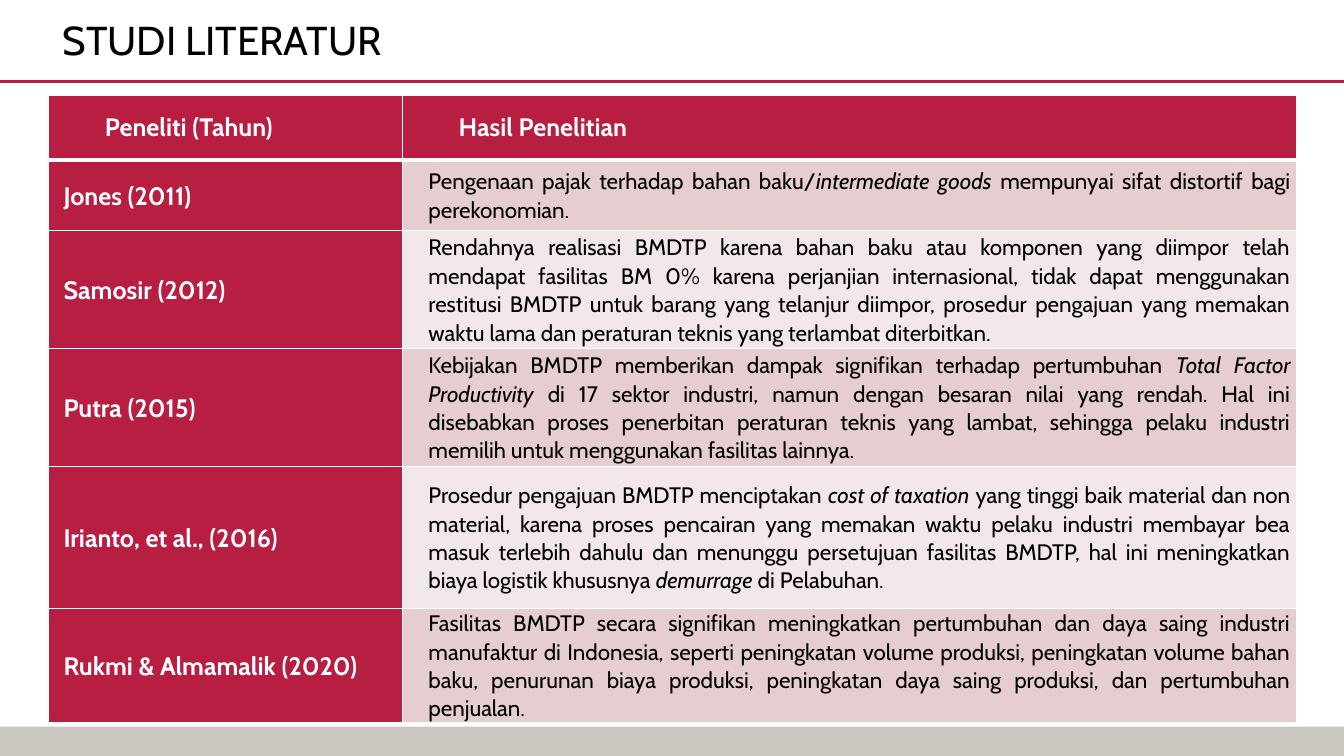
from lxml import etree
from pptx import Presentation
from pptx import util as u
from pptx.dml.color import RGBColor
from pptx.enum import shapes, text
from pptx.oxml import ns

COLORS = {
    "crimson": "B71E42",
    "white": "FFFFFF",
    "black": "000000",
    "rose": "E6CDCF",
    "blush": "F3E8E9",
    "stone": "CAC7C1",
}
FONT = "Cabin"
LABEL = {"size": u.Pt(18), "bold": True, "name": FONT}
BODY = {"size": u.Pt(16), "bold": False, "name": FONT}
CELL = {
    "margin_left": u.Inches(0.06),
    "margin_right": u.Inches(0.06),
    "margin_top": 0,
    "margin_bottom": 0,
    "vertical_anchor": text.MSO_ANCHOR.MIDDLE,
}
COLUMN_WIDTHS = [3.51, 8.87]
ROW_HEIGHTS = [0.64, 0.7, 1.17, 1.17, 1.41, 1.05]
HEADER = ("Peneliti (Tahun)", "Hasil Penelitian")
STUDIES = [
    ("Jones (2011)",
     "Pengenaan pajak terhadap bahan baku/*intermediate goods *mempunyai sifat "
     "distortif bagi perekonomian."),
    ("Samosir (2012)",
     "Rendahnya realisasi BMDTP karena bahan baku atau komponen yang diimpor telah "
     "mendapat fasilitas BM 0% karena perjanjian internasional, tidak dapat menggunakan "
     "restitusi BMDTP untuk barang yang telanjur diimpor, prosedur pengajuan yang "
     "memakan waktu lama dan peraturan teknis yang terlambat diterbitkan."),
    ("Putra (2015)",
     "Kebijakan BMDTP memberikan dampak signifikan terhadap pertumbuhan *Total Factor "
     "Productivity *di 17 sektor industri, namun dengan besaran nilai yang rendah. Hal "
     "ini disebabkan proses penerbitan peraturan teknis yang lambat, sehingga pelaku "
     "industri memilih untuk menggunakan fasilitas lainnya."),
    ("Irianto, et al., (2016)",
     "Prosedur pengajuan BMDTP menciptakan *cost of taxation *yang tinggi baik material "
     "dan non material, karena proses pencairan yang memakan waktu pelaku industri "
     "membayar bea masuk terlebih dahulu dan menunggu persetujuan fasilitas BMDTP, hal "
     "ini meningkatkan biaya logistik khususnya *demurrage* di Pelabuhan."),
    ("Rukmi & Almamalik (2020)",
     "Fasilitas BMDTP secara signifikan meningkatkan pertumbuhan dan daya saing industri "
     "manufaktur di Indonesia, seperti peningkatan volume produksi, peningkatan volume "
     "bahan baku, penurunan biaya produksi, peningkatan daya saing produksi, dan "
     "pertumbuhan penjualan."),
]


def rgb(name):
    return RGBColor.from_string(COLORS[name])


def apply(target, values):
    for name, value in values.items():
        setattr(target, name, value)


def paint(fill, color):
    fill.solid()
    fill.fore_color.rgb = rgb(color)


def write(paragraph, marked_text, font, color):
    for index, part in enumerate(marked_text.split("*")):
        run = paragraph.add_run()
        run.text = part
        apply(run.font, {**font, "italic": index % 2 == 1})
        run.font.color.rgb = rgb(color)


def set_borders(cell, widths):
    properties = cell._tc.get_or_add_tcPr()
    for index, (side, width) in enumerate(zip("LRTB", widths)):
        line = etree.Element(ns.qn(f"a:ln{side}"), w=str(u.Pt(width)))
        fill = etree.SubElement(line, ns.qn("a:solidFill"))
        etree.SubElement(fill, ns.qn("a:srgbClr"), val=COLORS["white"])
        properties.insert(index, line)


def add_frame(slide, left, top, width, height):
    paint(slide.background.fill, "stone")
    panel = slide.shapes.add_shape(
        shapes.MSO_SHAPE.RECTANGLE, left, top, width, height)
    panel.shadow.inherit = False
    paint(panel.fill, "white")
    panel.line.fill.background()
    rule_top = top + u.Inches(0.81)
    rule = slide.shapes.add_connector(
        shapes.MSO_CONNECTOR.STRAIGHT, left, rule_top, left + width, rule_top)
    rule.line.color.rgb = rgb("crimson")
    rule.line.width = u.Pt(2.5)
    etree.SubElement(rule._element.spPr, ns.qn("a:effectLst"))


def add_title(slide, left, top, width, height):
    title = slide.shapes.title
    apply(title, {"left": left, "top": top, "width": width, "height": height})
    apply(title.text_frame, {
        "vertical_anchor": text.MSO_ANCHOR.MIDDLE,
        "auto_size": text.MSO_AUTO_SIZE.NONE,
        "word_wrap": True,
    })
    paragraph = title.text_frame.paragraphs[0]
    apply(paragraph, {"alignment": text.PP_ALIGN.LEFT, "line_spacing": 0.9})
    write(paragraph, "STUDI LITERATUR", {"size": u.Pt(28.8), "name": FONT}, "black")
    slide.shapes._spTree.append(title._element)


def fill_cell(cell, content, row, column):
    is_header = row == 0
    is_label = is_header or column == 0
    apply(cell, CELL)
    paint(cell.fill, "crimson" if is_label else "rose" if row % 2 else "blush")
    set_borders(cell, (1, 1, 3 if row == 1 else 1, 3 if is_header else 1))
    paragraph = cell.text_frame.paragraphs[0]
    apply(paragraph, {
        "alignment": text.PP_ALIGN.JUSTIFY,
        "line_spacing": 1.0 if is_header else 1.05,
    })
    indent = 0.5 if is_header else 0.09 if is_label else 0.2
    paragraph._p.get_or_add_pPr().set("marL", str(u.Inches(indent)))
    write(paragraph, content, LABEL if is_label else BODY,
          "white" if is_label else "black")


def add_studies(slide, left, top, width, height):
    rows = [HEADER, *STUDIES]
    table = slide.shapes.add_table(
        len(rows), len(HEADER), left, top, width, height).table
    for column, size in zip(table.columns, COLUMN_WIDTHS):
        column.width = int(width * size / sum(COLUMN_WIDTHS))
    for row, size in zip(table.rows, ROW_HEIGHTS):
        row.height = int(height * size / sum(ROW_HEIGHTS))
    for row, contents in enumerate(rows):
        for column, content in enumerate(contents):
            fill_cell(table.cell(row, column), content, row, column)


def main():
    presentation = Presentation()
    presentation.slide_width = u.Inches(13.33)
    presentation.slide_height = u.Inches(7.5)
    slide = presentation.slides.add_slide(presentation.slide_layouts[5])
    add_frame(slide, 0, 0, presentation.slide_width, u.Inches(7.21))
    add_title(slide, u.Inches(0.52), u.Inches(0.15), u.Inches(11), u.Inches(0.55))
    add_studies(slide, u.Inches(0.48), u.Inches(0.95), u.Inches(12.38), u.Inches(6.14))
    presentation.save("out.pptx")


if __name__ == "__main__":
    main()
